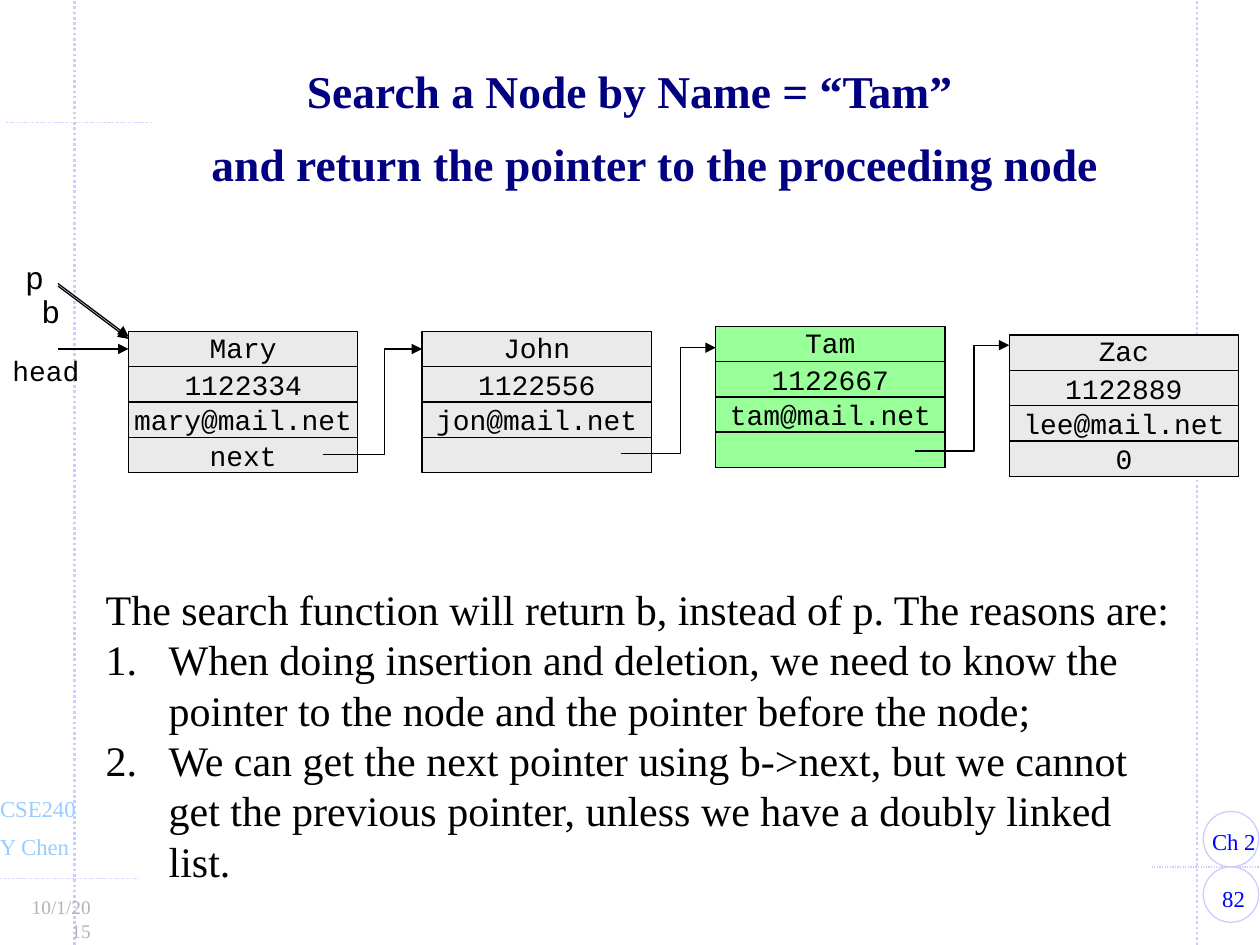
from lxml import etree
from pptx import Presentation
from pptx import util as u
from pptx.dml.color import RGBColor
from pptx.enum import dml, shapes, text
from pptx.oxml.ns import qn

Inches = u.Inches
COLORS = {"ink": "000000", "title": "000080", "rule": "CCCCFF", "course": "99CCFF",
          "page": "0000FF", "date": "B2B2B2", "node": "EAEAEA", "found": "99FF99"}
SERIF, MONO = "Times New Roman", "Courier New"
LEFT, CENTER, RIGHT = text.PP_ALIGN.LEFT, text.PP_ALIGN.CENTER, text.PP_ALIGN.RIGHT


def write(shape, *lines, size=16, font=MONO, color="ink", bold=False, align=LEFT,
          spacing=None, wrap=False, inset=0.1, middle=False, hanging=0, numbered_from=None):
    """Fill a shape with paragraphs; those from index numbered_from on are numbered."""
    frame = shape.text_frame
    frame.word_wrap = wrap
    frame.margin_left = frame.margin_right = Inches(inset)
    if align == LEFT and not wrap:
        frame.margin_right = 0  # room for short labels to stay on one line
    frame.margin_top = frame.margin_bottom = Inches(0.05)
    frame.vertical_anchor = text.MSO_ANCHOR.MIDDLE if middle else text.MSO_ANCHOR.TOP
    for i, line in enumerate(lines):
        paragraph = frame.add_paragraph() if i else frame.paragraphs[0]
        paragraph.text = line
        paragraph.alignment = align
        if spacing:
            paragraph.line_spacing = spacing
        numbered = numbered_from is not None and i >= numbered_from
        if hanging and (numbered or numbered_from is None):
            properties = paragraph._p.get_or_add_pPr()
            properties.set("marL", str(Inches(hanging)))
            properties.set("indent", str(-Inches(hanging)))
            if numbered:
                etree.SubElement(properties, qn("a:buAutoNum"), type="arabicPeriod")
        for run in paragraph.runs:
            run.font.size, run.font.name, run.font.bold = u.Pt(size), font, bold
            run.font.color.rgb = RGBColor.from_string(COLORS[color])


def outline(shape, color="ink", width=0.75, dotted=False, arrow=False):
    """Style the line of a shape or connector and drop its shadow."""
    shape.line.color.rgb = RGBColor.from_string(COLORS[color])
    shape.line.width = u.Pt(width)
    if dotted:
        shape.line.dash_style = dml.MSO_LINE.ROUND_DOT
    if arrow:
        etree.SubElement(shape.line._get_or_add_ln(), qn("a:tailEnd"), type="triangle")
    etree.SubElement(shape._element.spPr, qn("a:effectLst"))


prs = Presentation()
prs.slide_width, prs.slide_height = Inches(10), Inches(7.5)
canvas = prs.slides.add_slide(prs.slide_layouts[6]).shapes

# Dotted page rules and corner circles
for x1, y1, x2, y2, width in [
    (0.59, 7.5, 0.59, 0, 1.5), (9.5, 7.5, 9.5, 0, 1.5),
    (-0.06, 6.97, 1.09, 6.97, 0.75), (9.14, 6.88, 10.05, 6.88, 0.75),
    (0.05, 0.97, 1.2, 0.97, 0.75),
]:
    rule = canvas.add_connector(shapes.MSO_CONNECTOR.STRAIGHT,
                                Inches(x1), Inches(y1), Inches(x2), Inches(y2))
    outline(rule, "rule", width, dotted=True)
for top in (6.88, 6.44):
    circle = canvas.add_shape(shapes.MSO_SHAPE.OVAL, Inches(9.55), Inches(top),
                              Inches(0.44), Inches(0.44))
    circle.fill.background()
    outline(circle, "rule")

# Footer, title, pointer names and explanation
footer = dict(size=13, font=SERIF, inset=0.11)
for left, top, width, height, lines, style in [
    (9.5, 6.97, 0.58, 0.32, ["82"], dict(footer, color="page", align=CENTER, wrap=True)),
    (9.51, 6.52, 0.56, 0.32, ["Ch 2"], dict(footer, color="page")),
    (-0.11, 6.56, 0.77, 0.32, ["Y Chen"], dict(footer, color="course")),
    (-0.11, 6.26, 0.81, 0.32, ["CSE240"], dict(footer, color="course")),
    (0.08, 7.06, 0.75, 0.29, ["10/1/2015"],
     dict(footer, size=11, color="date", align=RIGHT, wrap=True)),
    (0.73, 0.44, 8.54, 0.98,
     ["Search a Node by Name = “Tam”\vand return the pointer to the proceeding node"],
     dict(size=26, font=SERIF, color="title", bold=True, align=CENTER, spacing=1.35,
          wrap=True, inset=0.11, middle=True, hanging=0.4)),
    (0, 2.76, 0.74, 0.37, ["head"], {}),
    (0.1, 2, 0.35, 0.4, ["p"], dict(size=18)),
    (0.23, 2.27, 0.35, 0.4, ["b"], dict(size=18)),
    (0.74, 4.58, 8.68, 2.52,
     ["The search function will return b, instead of p. The reasons are:",
      "When doing insertion and deletion, we need to know the pointer to the node "
      "and the pointer before the node;",
      "We can get the next pointer using b->next, but we cannot get the previous "
      "pointer, unless we have a doubly linked list."],
     dict(size=24, font=SERIF, wrap=True, hanging=0.5, numbered_from=1)),
]:
    box = canvas.add_textbox(Inches(left), Inches(top), Inches(width), Inches(height))
    write(box, *lines, **style)

# Linked list nodes
NODE_LEFT, NODE_PITCH, NODE_WIDTH, ROW = 1.02, 2.33, 1.82, 0.28
nodes = [
    (2.63, "node", ["Mary", "1122334", "mary@mail.net", "next"]),
    (2.63, "node", ["John", "1122556", "jon@mail.net", ""]),
    (2.59, "found", ["Tam", "1122667", "tam@mail.net", ""]),
    (2.66, "node", ["Zac", "1122889", "lee@mail.net", "0"]),
]
name_cells = []
for i, (top, fill, fields) in enumerate(nodes):
    for row, field in enumerate(fields):
        cell = canvas.add_shape(shapes.MSO_SHAPE.RECTANGLE,
                                Inches(NODE_LEFT + i * NODE_PITCH), Inches(top + row * ROW),
                                Inches(NODE_WIDTH), Inches(ROW))
        cell.fill.solid()
        cell.fill.fore_color.rgb = RGBColor.from_string(COLORS[fill])
        outline(cell)
        if field:
            write(cell, field, align=CENTER, middle=True, spacing=None if row else 0.9)
        if row == 0:
            name_cells.append(cell)

# Links from each next field to the following node
for i, (start, bend, bottom) in enumerate([(2.56, 3.05, 3.61), (4.93, 5.4, 3.6),
                                           (7.26, 7.73, 3.58)], start=1):
    end, level = NODE_LEFT + i * NODE_PITCH, bottom - 0.84
    builder = canvas.build_freeform(Inches(start), Inches(bottom))
    builder.add_line_segments([(Inches(x), Inches(y)) for x, y in
                               [(bend, bottom), (bend, level), (end, level)]], close=False)
    link = builder.convert_to_shape()
    link.fill.background()
    outline(link, arrow=True)

# Pointers into the first node: head, p and b
for start, end in [(2.77, 2.77), (2.25, 2.67), (2.27, 2.69)]:
    pointer = canvas.add_connector(shapes.MSO_CONNECTOR.STRAIGHT, Inches(0.46), Inches(start),
                                   Inches(NODE_LEFT), Inches(end))
    outline(pointer, arrow=True)
    if start == end:
        pointer.end_connect(name_cells[0], 1)

prs.save("out.pptx")
